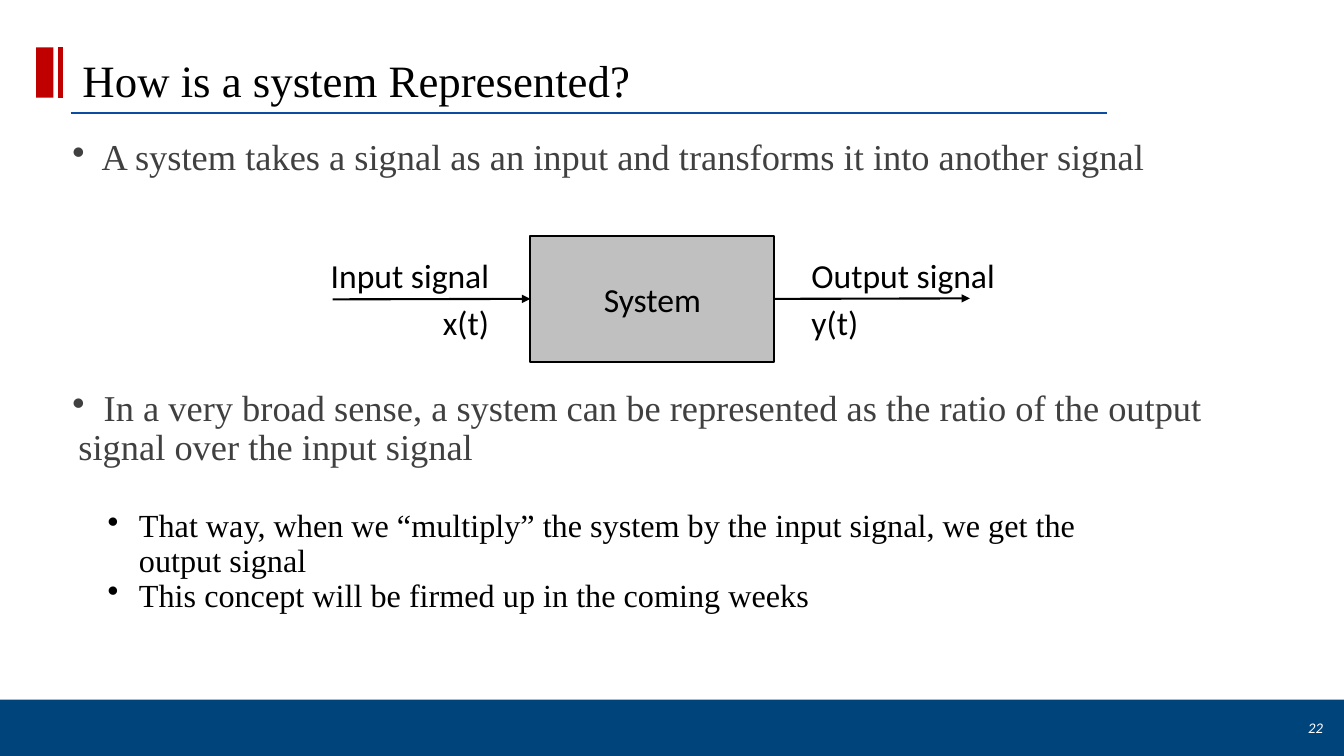
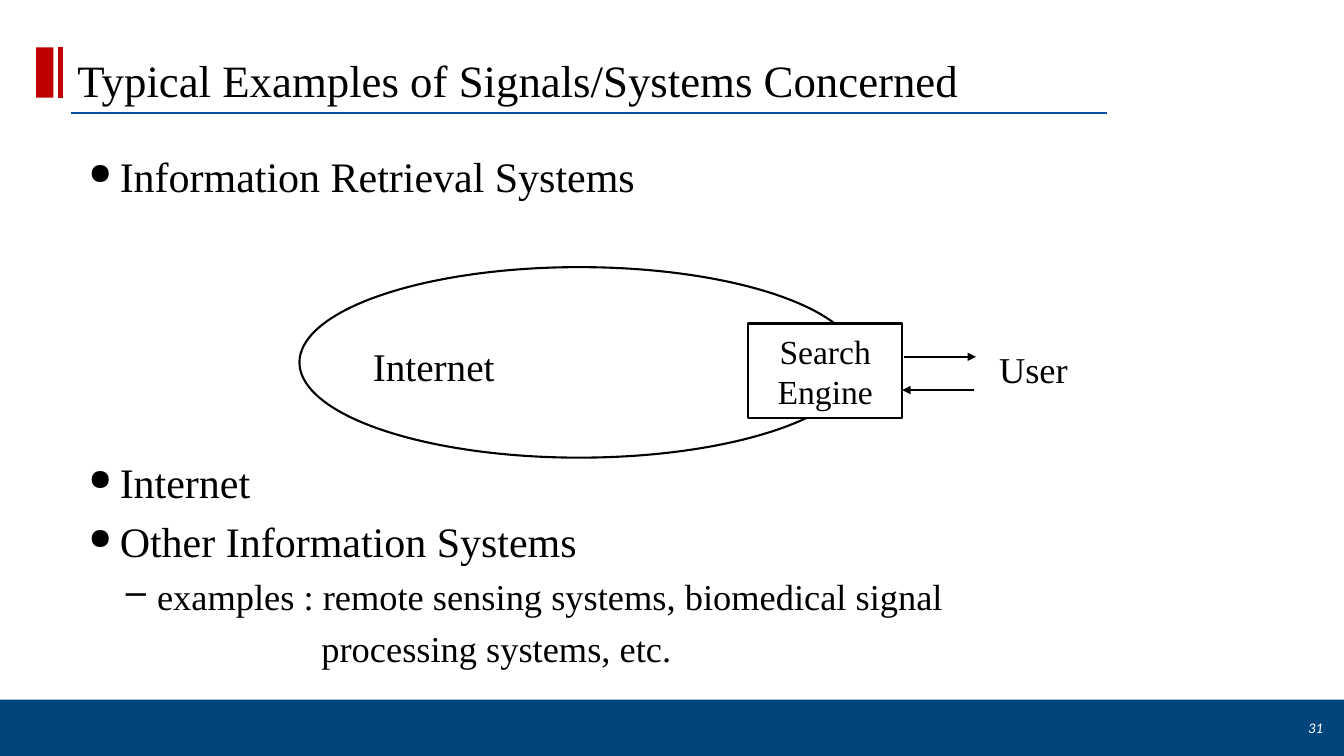
from pptx import Presentation
from pptx.dml.color import RGBColor
from pptx.enum.shapes import MSO_CONNECTOR, MSO_SHAPE
from pptx.enum.text import MSO_ANCHOR, PP_ALIGN
from pptx.oxml.ns import qn
from pptx.util import Inches, Pt
from lxml import etree

RECT, OVAL = MSO_SHAPE.RECTANGLE, MSO_SHAPE.OVAL
STRAIGHT = MSO_CONNECTOR.STRAIGHT
LEFT, MID, RIGHT = PP_ALIGN.LEFT, PP_ALIGN.CENTER, PP_ALIGN.RIGHT
TOP, CENTER, BOTTOM = MSO_ANCHOR.TOP, MSO_ANCHOR.MIDDLE, MSO_ANCHOR.BOTTOM
SERIF, SANS = "Times New Roman", "Calibri"
NAVY, BLUE, RED = "00447C", "0B4DA2", "C00000"
BLACK, WHITE, GRAY, SILVER = "000000", "FFFFFF", "404040", "C0C0C0"
hue = RGBColor.from_string


def write(shape, rows, size, font=SERIF, tone=BLACK, align=LEFT, anchor=TOP, space=1.0):
    """Fill a shape; each row is (text, options), with lengths in inches."""
    frame = shape.text_frame
    frame.word_wrap = True
    frame.vertical_anchor = anchor
    for i, (words, opts) in enumerate(rows):
        par = frame.paragraphs[0] if i == 0 else frame.add_paragraph()
        par.text = words
        props = par._p.get_or_add_pPr()
        if "left" in opts:
            props.set("marL", str(Inches(opts["left"])))
            props.set("indent", str(-Inches(opts.get("hang", 0))))
        if "scale" in opts:
            etree.SubElement(props, qn("a:buSzPct"), val=str(opts["scale"] * 1000))
        if "mark" in opts:
            etree.SubElement(props, qn("a:buChar"), char=opts["mark"])
        if "tab" in opts:
            tabs = etree.SubElement(props, qn("a:tabLst"))
            etree.SubElement(tabs, qn("a:tab"), pos=str(Inches(opts["tab"])), algn="l")
        par.alignment = align
        par.line_spacing = space
        par.space_before = Pt(opts.get("before", 0))
        par.font.size = Pt(opts.get("size", size))
        par.font.name = font
        par.font.color.rgb = hue(tone)
    return frame


def line(slide, x1, y1, x2, y2, tone=BLACK, width=1.5, arrow=False):
    link = slide.shapes.add_connector(
        STRAIGHT, Inches(x1), Inches(y1), Inches(x2), Inches(y2))
    link.line.color.rgb = hue(tone)
    link.line.width = Pt(width)
    if arrow:
        etree.SubElement(link.line._get_or_add_ln(), qn("a:tailEnd"), type="triangle")
    etree.SubElement(link._element.spPr, qn("a:effectLst"))
    return link


deck = Presentation()
deck.slide_width, deck.slide_height = Inches(13.33), Inches(7.5)

# Shared frame: footer band, red bars, rule, title, number
slides = []
for title, left, number in [
    ("How is a system Represented?", 0.72, "22"),
    ("Typical Examples of Signals/Systems Concerned", 0.67, "31"),
]:
    slide = deck.slides.add_slide(deck.slide_layouts[6])
    for x, y, w, h, tone in [(0, 6.94, 13.33, 0.56, NAVY), (0.36, 0.47, 0.17, 0.5, RED)]:
        bar = slide.shapes.add_shape(RECT, Inches(x), Inches(y), Inches(w), Inches(h))
        bar.shadow.inherit = False
        bar.fill.solid()
        bar.fill.fore_color.rgb = hue(tone)
        bar.line.fill.background()
    line(slide, 0.7, 1.12, 10.98, 1.12, BLUE)
    line(slide, 0.6, 0.47, 0.6, 0.97, RED, 3)
    box = slide.shapes.add_textbox(Inches(left), Inches(0.25), Inches(10.26), Inches(0.86))
    write(box, [(title, {})], 32, anchor=BOTTOM, space=0.85)
    box = slide.shapes.add_textbox(Inches(11.79), Inches(7.02), Inches(1.43), Inches(0.4))
    frame = write(box, [(number, {})], 10.5, SANS, WHITE, RIGHT, CENTER)
    frame.paragraphs[0].font.italic = True
    slides.append(slide)
first, second = slides

# Slide 1: statements
for y, h, words, opts in [
    (1.33, 0.5, "A system takes a signal as an input and transforms it into another signal",
     {"left": 0.29, "hang": 0.29, "mark": "•"}),
    (3.82, 0.9, "\tIn a very broad sense, a system can be represented as the ratio of "
     "the output signal over the input signal",
     {"left": 0.06, "hang": 0.06, "mark": "•", "tab": 0.31}),
]:
    box = first.shapes.add_textbox(Inches(0.62), Inches(y), Inches(11.91), Inches(h))
    write(box, [(words, opts)], 26, tone=GRAY, space=0.9)

# Slide 1: block diagram
block = first.shapes.add_shape(RECT, Inches(5.26), Inches(2.34), Inches(2.42), Inches(1.25))
block.shadow.inherit = False
block.fill.solid()
block.fill.fore_color.rgb = hue(SILVER)
block.line.color.rgb = hue(BLACK)
block.line.width = Pt(1.5)
write(block, [("System", {})], 24, SANS, align=MID, anchor=CENTER)
line(first, 3.3, 2.97, 5.26, 2.97, arrow=True).end_connect(block, 1)
line(first, 7.68, 2.97, 9.62, 2.96, arrow=True).begin_connect(block, 3)
for x, w, name, sign, align in [
    (2.92, 2.03, "Input signal", "x(t)", RIGHT),
    (7.95, 2.38, "Output signal", "y(t)", LEFT),
]:
    box = first.shapes.add_textbox(Inches(x), Inches(2.48), Inches(w), Inches(0.98))
    write(box, [(name, {}), (sign, {"before": 5})], 24, SANS, align=align)

# Slide 1: remarks
point = {"left": 0.81, "hang": 0.31, "mark": "•"}
box = first.shapes.add_textbox(Inches(0.47), Inches(5.01), Inches(10.78), Inches(1.15))
write(box, [
    ("That way, when we “multiply” the system by the input signal, we get the output signal",
     point),
    ("This concept will be firmed up in the coming weeks", point),
], 23, space=0.9)

# Slide 2: topics above and below the diagram
topic = {"left": 0.81, "hang": 0.31, "mark": "●", "scale": 70, "before": 0}
for y, h, rows in [
    (1.44, 0.6, [("Information Retrieval Systems", topic)]),
    (4.48, 2.3, [
        ("Internet", topic),
        ("Other Information Systems", {**topic, "before": 6}),
        ("examples : remote sensing systems, biomedical signal",
         {"left": 1.18, "hang": 0.31, "mark": "–", "before": 6, "size": 26}),
        ("processing systems, etc.", {"left": 2.81, "before": 6, "size": 26}),
    ]),
]:
    box = second.shapes.add_textbox(Inches(0.28), Inches(y), Inches(9.23), Inches(h))
    write(box, rows, 30)

# Slide 2: network, search box and user
for kind, x, y, w, h in [(OVAL, 2.97, 2.65, 5.55, 1.89), (RECT, 7.42, 3.21, 1.53, 0.94)]:
    node = second.shapes.add_shape(kind, Inches(x), Inches(y), Inches(w), Inches(h))
    node.shadow.inherit = False
    node.fill.solid()
    node.fill.fore_color.rgb = hue(WHITE)
    node.line.color.rgb = hue(BLACK)
    node.line.width = Pt(1.5)
write(node, [("Search Engine", {})], 24, align=MID, anchor=CENTER)
for x, y, w, words, size in [(3.6, 3.35, 1.57, "Internet", 28), (9.81, 3.39, 1.11, "User", 26)]:
    box = second.shapes.add_textbox(Inches(x), Inches(y), Inches(w), Inches(0.55))
    write(box, [(words, {})], size)
line(second, 8.97, 3.54, 9.68, 3.54, arrow=True)
line(second, 9.66, 3.87, 8.95, 3.87, arrow=True)

deck.save("out.pptx")
